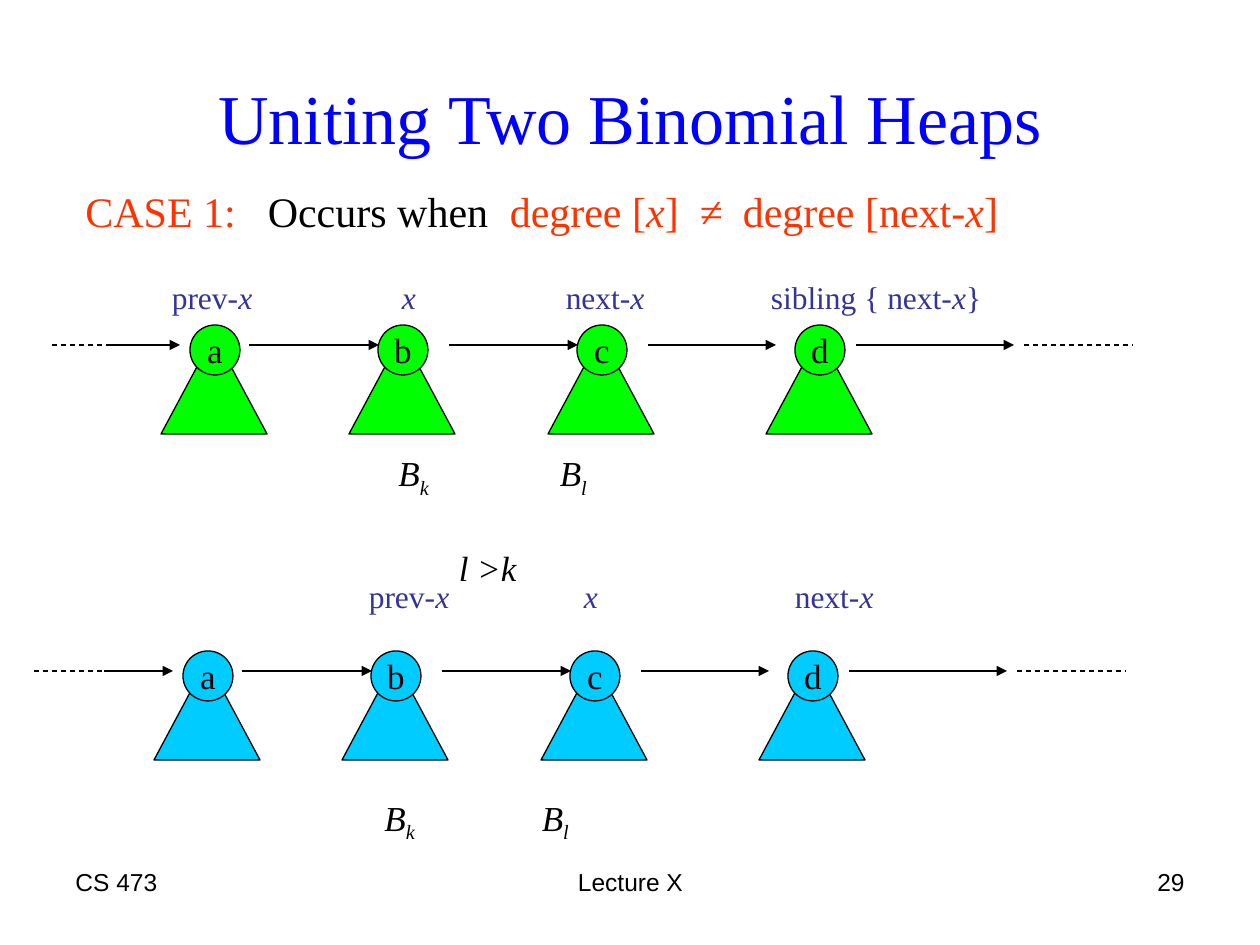
from dataclasses import dataclass

from lxml import etree
from pptx import Presentation
from pptx import util as u
from pptx.dml.color import RGBColor
from pptx.enum import dml, shapes, text
from pptx.oxml.ns import qn

PX = 914400 / 126  # EMU in one pixel
INSET = 12.6  # left and right text margin, px


@dataclass(frozen=True)
class Theme:
    serif: str = "Times New Roman"
    sans: str = "Arial"
    black: str = "000000"
    title: str = "0000FF"
    case: str = "FF3300"
    label: str = "333399"
    before: str = "00FF00"
    after: str = "00CCFF"
    title_size: int = 40
    case_size: int = 24
    node_size: int = 20
    label_size: int = 18
    footer_size: int = 14
    line_width: float = 0.75


THEME = Theme()
LEFT, CENTER, RIGHT = text.PP_ALIGN.LEFT, text.PP_ALIGN.CENTER, text.PP_ALIGN.RIGHT


def px(value):
    return u.Emu(round(value * PX))


def rgb(value):
    return RGBColor.from_string(value)


def rich(content, **style):
    """Split content into runs; parts between asterisks are italic."""
    return [(part, {**style, "italic": index % 2 == 1})
            for index, part in enumerate(content.split("*")) if part]


# Text
def write(paragraph, runs, size=THEME.node_size, color=THEME.black,
          font=THEME.serif, align=LEFT, before=0, tabs=()):
    paragraph.alignment = align
    paragraph.space_before = u.Pt(before)
    if tabs:
        tab_list = etree.SubElement(paragraph._p.get_or_add_pPr(), qn("a:tabLst"))
        for position in tabs:
            etree.SubElement(tab_list, qn("a:tab"), pos=str(px(position)), algn="l")
    for content, style in runs:
        run = paragraph.add_run()
        run.text = content
        run.font.name = font
        run.font.size = u.Pt(size)
        run.font.color.rgb = rgb(style.get("color", color))
        run.font.italic = style.get("italic", False)
        if style.get("subscript"):
            run.font._element.set("baseline", "-25000")


def add_text(slide, box, *paragraphs):
    """Each paragraph is (runs, format); its tabs are slide positions."""
    shape = slide.shapes.add_textbox(*map(px, box))
    frame = shape.text_frame
    frame.word_wrap = True
    for index, (runs, style) in enumerate(paragraphs):
        paragraph = frame.add_paragraph() if index else frame.paragraphs[0]
        tabs = [column - box[0] - INSET for column in style.get("tabs", ())]
        write(paragraph, runs, **{**style, "tabs": tabs})


def tree_names(column):
    """B with subscript k, then B with subscript l at the given column."""
    runs = [("B", {"italic": True}), ("k", {"italic": True, "subscript": True}),
            ("\tB", {"italic": True}), ("l", {"italic": True, "subscript": True})]
    return runs, {"tabs": [column]}


# Shapes and lines
def add_shape(slide, kind, box, fill):
    shape = slide.shapes.add_shape(kind, *map(px, box))
    shape.shadow.inherit = False
    shape.fill.solid()
    shape.fill.fore_color.rgb = rgb(fill)
    shape.line.color.rgb = rgb(THEME.black)
    shape.line.width = u.Pt(THEME.line_width)
    return shape


def add_line(slide, start, end, y, arrow=False):
    line = slide.shapes.add_connector(
        shapes.MSO_CONNECTOR.STRAIGHT, px(start), px(y), px(end), px(y))
    line.line.color.rgb = rgb(THEME.black)
    line.line.width = u.Pt(THEME.line_width)
    if arrow:
        etree.SubElement(line.line._get_or_add_ln(), qn("a:tailEnd"), type="triangle")
    else:
        line.line.dash_style = dml.MSO_LINE.DASH
    etree.SubElement(line._element.spPr, qn("a:effectLst"))


def add_tree(slide, name, left, top, fill):
    add_shape(slide, shapes.MSO_SHAPE.ISOSCELES_TRIANGLE,
              (left, top + 10, 106, 99), fill)
    root = add_shape(slide, shapes.MSO_SHAPE.OVAL, (left + 29, top, 50, 50), fill)
    frame = root.text_frame
    frame.word_wrap = False
    frame.vertical_anchor = text.MSO_ANCHOR.MIDDLE
    write(frame.paragraphs[0], rich(name), align=CENTER)


def add_heap(slide, left, top, lead, fill):
    """Root list of four trees, the first at left; lead is the opening dash."""
    y = top + 20
    add_line(slide, *lead, y)
    for start, end in ((-50, 19), (88, 218), (288, 417), (487, 615), (695, 853)):
        add_line(slide, left + start, left + end, y, arrow=True)
    add_line(slide, left + 863, left + 972, y)
    for name, offset in zip("abcd", (0, 188, 387, 605)):
        add_tree(slide, name, left + offset, top, fill)


def main():
    presentation = Presentation()
    presentation.slide_width, presentation.slide_height = px(1260), px(945)
    slide = presentation.slides.add_slide(presentation.slide_layouts[5])

    # Title
    title = slide.shapes.title
    title.left, title.top, title.width, title.height = map(px, (63, 38, 1134, 158))
    title.text_frame.vertical_anchor = text.MSO_ANCHOR.MIDDLE
    write(title.text_frame.paragraphs[0], rich("Uniting Two Binomial Heaps"),
          size=THEME.title_size, color=THEME.title, align=CENTER)

    # Case statement and pointer labels
    label = {"size": THEME.label_size, "color": THEME.label}
    case = (rich("CASE 1:") + rich("\tOccurs when", color=THEME.black)
            + rich("\tdegree [*x*]\t≠\tdegree [next-*x*]"))
    add_text(slide, (73, 179, 1160, 139),
             (case, {"size": THEME.case_size, "color": THEME.case,
                     "tabs": (268, 510, 700, 743)}),
             (rich("\tprev-*x*\t*x*\tnext-*x*\tsibling { next-*x*}"),
              {**label, "before": 24, "tabs": (172, 402, 566, 771)}))
    add_text(slide, (263, 571, 774, 50),
             (rich("\tprev-*x*\t*x*\tnext-*x*"),
              {**label, "tabs": (369, 584, 795)}))

    # Root lists before and after the step
    add_heap(slide, 161, 325, (52, 131), THEME.before)
    add_heap(slide, 154, 651, (34, 144), THEME.after)

    # Tree names
    add_text(slide, (386, 445, 215, 156), tree_names(560),
             (rich("\t*l >k*"), {"before": 27, "tabs": [459]}))
    add_text(slide, (372, 790, 258, 60), tree_names(542))

    # Footer
    for content, left, width, align in (("CS 473", 63, 294, LEFT),
                                        ("Lecture X", 431, 399, CENTER),
                                        ("29", 903, 294, RIGHT)):
        add_text(slide, (left, 861, width, 66),
                 (rich(content), {"size": THEME.footer_size, "font": THEME.sans,
                                  "align": align}))

    presentation.save("out.pptx")


if __name__ == "__main__":
    main()
